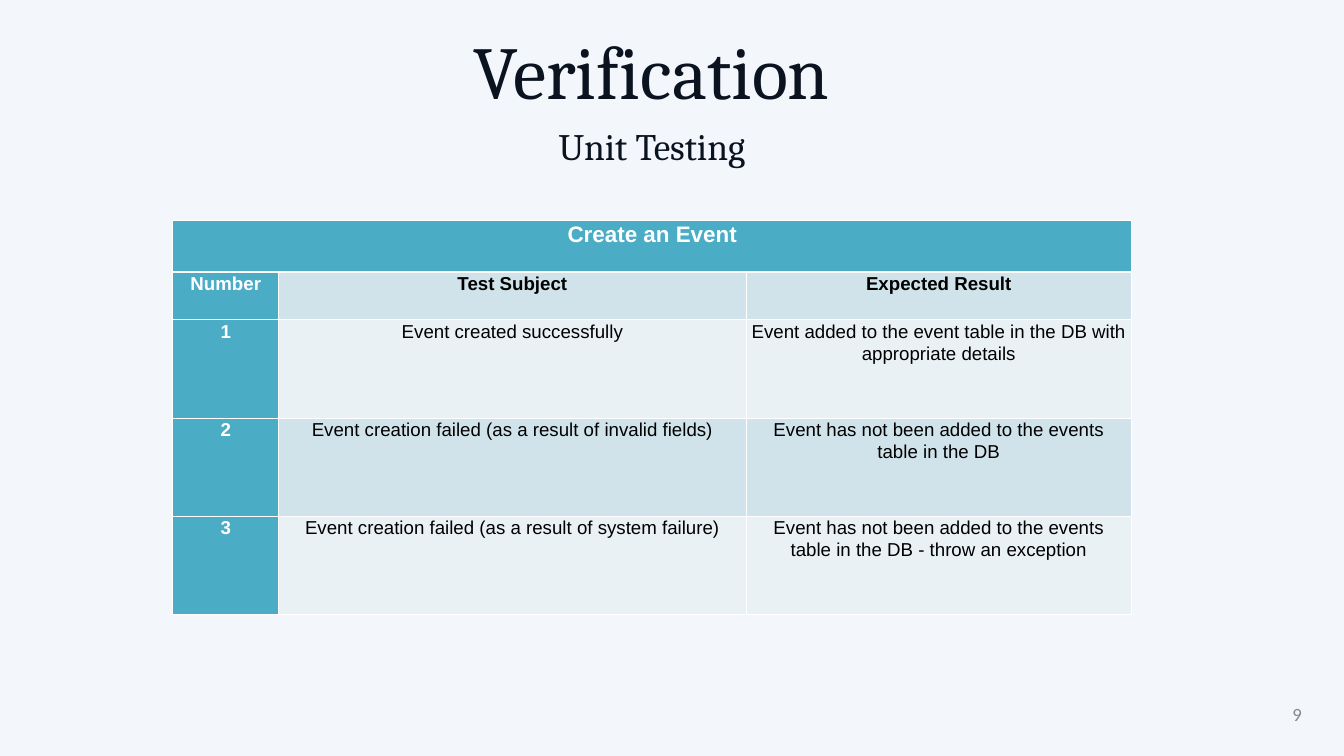
from dataclasses import dataclass

from lxml import etree
from pptx import Presentation
from pptx import util as u
from pptx.dml import color
from pptx.enum import text
from pptx.oxml import ns


@dataclass(frozen=True)
class Theme:
    # Colours
    background: str = "F3F6FA"
    heading: str = "0B1320"
    accent: str = "4BACC6"
    dark_band: str = "D0E3EA"
    light_band: str = "E9F1F5"
    white: str = "FFFFFF"
    black: str = "000000"
    muted: str = "888888"
    # Fonts
    heading_font: str = "Cambria"
    table_font: str = "Arial"
    number_font: str = "Calibri"
    # Type sizes in points
    title_size: int = 80
    subtitle_size: int = 40
    table_title_size: int = 24
    body_size: int = 20


THEME = Theme()
TABLE_TITLE = "Create an Event"
TEST_ROWS = [
    ("Number", "Test Subject", "Expected Result"),
    ("1", "Event created successfully",
     "Event added to the event table in the DB with appropriate details"),
    ("2", "Event creation failed (as a result of invalid fields)",
     "Event has not been added to the events table in the DB"),
    ("3", "Event creation failed (as a result of system failure)",
     "Event has not been added to the events table in the DB - throw an exception"),
]
COLUMN_WIDTHS = (1.58, 6.95, 5.74)
ROW_HEIGHTS = (0.77, 0.71, 1.46, 1.46, 1.46)


def rgb(value):
    return color.RGBColor.from_string(value)


def style(paragraph, font, size, ink, align, bold=False):
    paragraph.alignment = align
    paragraph.font.name = font
    paragraph.font.size = u.Pt(size)
    paragraph.font.color.rgb = rgb(ink)
    paragraph.font.bold = bold


def add_text_frame(slide, left, top, width, height):
    frame = slide.shapes.add_textbox(
        *(u.Inches(n) for n in (left, top, width, height))).text_frame
    frame.word_wrap = True
    return frame


def add_heading(slide):
    frame = add_text_frame(slide, 3.04, 0.1, 13.32, 2.42)
    frame.margin_left = frame.margin_right = 0
    frame.margin_top = frame.margin_bottom = 0
    frame.text = "Verification\nUnit Testing"
    sizes = (THEME.title_size, THEME.subtitle_size)
    for line, size in zip(frame.paragraphs, sizes):
        style(line, THEME.heading_font, size, THEME.heading, text.PP_ALIGN.CENTER)
        line.line_spacing = 1.2


def set_borders(cell, top=1, bottom=1):
    properties = cell._tc.get_or_add_tcPr()
    for side, points in (("L", 1), ("R", 1), ("T", top), ("B", bottom)):
        line = etree.SubElement(properties, ns.qn(f"a:ln{side}"), w=str(u.Pt(points)))
        fill = etree.SubElement(line, ns.qn("a:solidFill"))
        etree.SubElement(fill, ns.qn("a:srgbClr"), val=THEME.white)


def fill_cell(cell, words, fill, ink, size=THEME.body_size, bold=False):
    cell.margin_left = cell.margin_right = u.Inches(0.07)
    cell.margin_top = cell.margin_bottom = 0
    cell.fill.solid()
    cell.fill.fore_color.rgb = rgb(fill)
    cell.text = words
    paragraph = cell.text_frame.paragraphs[0]
    style(paragraph, THEME.table_font, size, ink, text.PP_ALIGN.CENTER, bold)
    paragraph.line_spacing = 1.07
    paragraph.space_after = u.Pt(8)


def add_test_table(slide):
    table = slide.shapes.add_table(
        len(ROW_HEIGHTS), len(COLUMN_WIDTHS), u.Inches(2.57), u.Inches(3.28),
        u.Inches(sum(COLUMN_WIDTHS)), u.Inches(sum(ROW_HEIGHTS))).table
    for column, width in zip(table.columns, COLUMN_WIDTHS):
        column.width = u.Inches(width)
    for row, height in zip(table.rows, ROW_HEIGHTS):
        row.height = u.Inches(height)

    # Title row across all columns, with a thick rule below
    for cell in table.rows[0].cells:
        set_borders(cell, bottom=3)
    title = table.cell(0, 0)
    title.merge(table.cell(0, len(COLUMN_WIDTHS) - 1))
    fill_cell(title, TABLE_TITLE, THEME.accent, THEME.white,
              THEME.table_title_size, bold=True)

    # Column headings and banded test rows
    for r, entries in enumerate(TEST_ROWS, start=1):
        band = THEME.dark_band if r % 2 else THEME.light_band
        for c, words in enumerate(entries):
            cell = table.cell(r, c)
            is_number = c == 0
            set_borders(cell, top=3 if r == 1 else 1)
            fill_cell(cell, words, THEME.accent if is_number else band,
                      THEME.white if is_number else THEME.black,
                      bold=is_number or r == 1)


def add_page_number(slide):
    frame = add_text_frame(slide, 17.14, 10.42, 2.33, 0.4)
    frame.vertical_anchor = text.MSO_ANCHOR.MIDDLE
    frame.text = "9"
    style(frame.paragraphs[0], THEME.number_font, THEME.body_size, THEME.muted,
          text.PP_ALIGN.RIGHT)


def main():
    presentation = Presentation()
    presentation.slide_width = u.Inches(20)
    presentation.slide_height = u.Inches(11.25)
    slide = presentation.slides.add_slide(presentation.slide_layouts[6])
    slide.background.fill.solid()
    slide.background.fill.fore_color.rgb = rgb(THEME.background)

    add_heading(slide)
    add_test_table(slide)
    add_page_number(slide)
    presentation.save("out.pptx")


if __name__ == "__main__":
    main()
